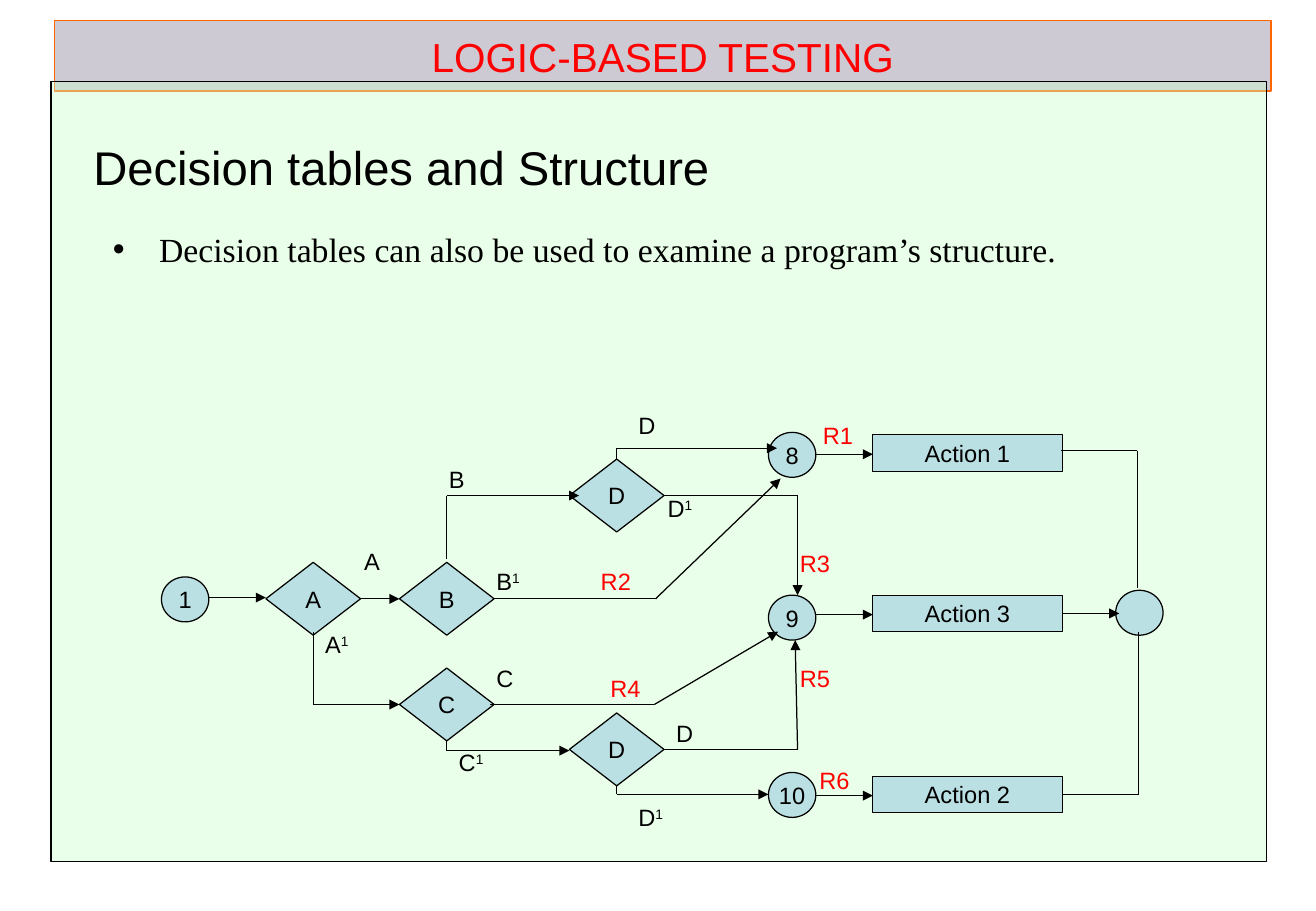
import dataclasses

import lxml.etree
import pptx
import pptx.dml.color
import pptx.enum.shapes
import pptx.enum.text
import pptx.oxml.ns
import pptx.util

Inches = pptx.util.Inches
Pt = pptx.util.Pt
qn = pptx.oxml.ns.qn
SHAPE = pptx.enum.shapes.MSO_SHAPE
ALIGN = pptx.enum.text.PP_ALIGN
ANCHOR = pptx.enum.text.MSO_ANCHOR


@dataclasses.dataclass(frozen=True)
class Theme:
    ink: str = "000000"
    accent: str = "FF0000"
    banner: str = "CECAD4"
    banner_line: str = "FF6600"
    panel: str = "CCFFCC"
    node: str = "BBE0E3"
    sans: str = "Arial"
    serif: str = "Times New Roman"
    title: int = 24
    heading: int = 28
    body: int = 20
    label: int = 14
    line: float = 0.75


def rgb(value):
    return pptx.dml.color.RGBColor.from_string(value)


def add_xml(parent, tag, **attrs):
    return lxml.etree.SubElement(parent, qn(tag), attrs)


def write(tf, text, *, size, color, font, align=ALIGN.LEFT,
          anchor=ANCHOR.TOP, wrap=True, bullet=False):
    """Write one paragraph; a part after ^ is raised."""
    tf.word_wrap = wrap
    tf.auto_size = pptx.enum.text.MSO_AUTO_SIZE.NONE
    tf.vertical_anchor = anchor
    p = tf.paragraphs[0]
    if bullet:
        pPr = p._p.get_or_add_pPr()
        pPr.set("marL", str(Inches(0.38)))
        pPr.set("indent", str(Inches(-0.38)))
        add_xml(add_xml(pPr, "a:buClr"), "a:srgbClr", val=color)
        add_xml(pPr, "a:buChar", char="•")
    p.alignment = align
    p.space_before = Pt(0)
    base, _, raised = text.partition("^")
    for part in filter(None, (base, raised)):
        r = p.add_run()
        r.text = part
        r.font.size = Pt(size)
        r.font.name = font
        r.font.color.rgb = rgb(color)
    if raised:
        r._r.get_or_add_rPr().set("baseline", "30000")


class Deck:
    def __init__(self, theme, width, height):
        self.theme = theme
        self.prs = pptx.Presentation()
        self.prs.slide_width = Inches(width)
        self.prs.slide_height = Inches(height)
        self.s = self.prs.slides.add_slide(self.prs.slide_layouts[1])

    def place(self, sp, x, y, w, h):
        sp.left, sp.top, sp.width, sp.height = map(Inches, (x, y, w, h))

    def paint(self, sp, fill, line):
        sp.fill.solid()
        sp.fill.fore_color.rgb = rgb(fill)
        sp.line.color.rgb = rgb(line)
        sp.line.width = Pt(self.theme.line)

    def title(self, text, *box):
        t, sp = self.theme, self.s.shapes.title
        self.place(sp, *box)
        self.paint(sp, t.banner, t.banner_line)
        write(sp.text_frame, text, size=t.title, color=t.accent, font=t.sans,
              align=ALIGN.CENTER, anchor=ANCHOR.MIDDLE)

    def body(self, text, *box):
        t, sp = self.theme, self.s.placeholders[1]
        self.place(sp, *box)
        write(sp.text_frame, text, size=t.body, color=t.ink, font=t.serif,
              align=ALIGN.JUSTIFY, bullet=True)

    def shape(self, kind, x, y, w, h, fill, text=""):
        t = self.theme
        sp = self.s.shapes.add_shape(kind, *map(Inches, (x, y, w, h)))
        sp.shadow.inherit = False
        self.paint(sp, fill, t.ink)
        if text:
            write(sp.text_frame, text, size=t.label, color=t.ink, font=t.sans,
                  align=ALIGN.CENTER, anchor=ANCHOR.MIDDLE, wrap=False)
        return sp

    def panel(self, *box):
        sp = self.shape(SHAPE.RECTANGLE, *box, self.theme.panel)
        tint = next(sp._element.spPr.iter(qn("a:srgbClr")))
        add_xml(tint, "a:alpha", val="40000")
        # The panel lies over the title and under the body text
        self.s.placeholders[1]._element.addprevious(sp._element)

    def text(self, text, x, y, w, h, size, color, anchor=ANCHOR.TOP):
        sp = self.s.shapes.add_textbox(*map(Inches, (x, y, w, h)))
        write(sp.text_frame, text, size=size, color=color,
              font=self.theme.sans, anchor=anchor)

    def route(self, points, arrow=True):
        """Join the points with straight lines; the last may end in an arrow."""
        for start, end in zip(points, points[1:]):
            c = self.s.shapes.add_connector(
                pptx.enum.shapes.MSO_CONNECTOR.STRAIGHT,
                *map(Inches, (*start, *end)))
            c.line.color.rgb = rgb(self.theme.ink)
            c.line.width = Pt(self.theme.line)
            add_xml(c._element.spPr, "a:effectLst")
        if arrow:
            ln = c._element.spPr.find(qn("a:ln"))
            add_xml(ln, "a:tailEnd", type="triangle")


# Node kinds: preset shape, width, height
CIRCLE = (SHAPE.OVAL, 0.39, 0.37)
DECISION = (SHAPE.DIAMOND, 0.78, 0.6)
ACTION = (SHAPE.RECTANGLE, 1.56, 0.3)

NODES = [
    (CIRCLE, "1", 1.33, 4.75), (CIRCLE, "8", 6.33, 3.56),
    (CIRCLE, "9", 6.33, 4.9), (CIRCLE, "10", 6.33, 6.36),
    (CIRCLE, "", 9.19, 4.86),
    (ACTION, "Action 1", 7.19, 3.58), (ACTION, "Action 3", 7.19, 4.9),
    (ACTION, "Action 2", 7.19, 6.39),
    (DECISION, "A", 2.19, 4.63), (DECISION, "B", 3.29, 4.63),
    (DECISION, "D", 4.69, 5.87), (DECISION, "D", 4.69, 3.78),
    (DECISION, "C", 3.29, 5.5),
]

ARROWS = [
    # Into and between the first decisions
    [(1.72, 4.92), (2.19, 4.92)],
    [(2.97, 4.93), (3.29, 4.93)],
    [(2.58, 5.2), (2.58, 5.8), (3.29, 5.8)],
    # Out of B and C
    [(3.68, 4.6), (3.68, 4.08), (4.77, 4.08)],
    [(4.07, 4.93), (5.4, 4.93), (6.43, 3.94)],
    [(4.04, 5.8), (5.39, 5.8), (6.41, 5.2)],
    [(3.68, 6.1), (3.68, 6.18), (4.69, 6.18)],
    # Out of the two D decisions
    [(5.08, 3.78), (5.08, 3.69), (6.4, 3.69)],
    [(5.47, 4.08), (6.57, 4.08), (6.57, 4.9)],
    [(5.47, 6.17), (6.57, 6.17), (6.55, 5.27)],
    [(5.08, 6.46), (5.08, 6.54), (6.33, 6.54)],
    # Into the actions and the end node
    [(6.72, 3.74), (7.19, 3.74)],
    [(6.72, 5.06), (7.19, 5.06)],
    [(6.72, 6.55), (7.19, 6.55)],
    [(8.75, 5.05), (9.22, 5.05)],
]

PLAIN_LINES = [
    [(8.74, 3.71), (9.37, 3.71), (9.37, 4.84)],
    [(8.75, 6.54), (9.38, 6.54), (9.38, 5.2)],
]

BRANCHES = [
    ("A", 2.9, 4.45), ("A^1", 2.58, 5.14), ("B", 3.6, 3.78),
    ("B^1", 3.99, 4.62), ("D", 5.16, 3.33), ("D^1", 5.4, 4.02),
    ("C", 3.99, 5.42), ("C^1", 3.68, 6.11), ("D", 5.47, 5.87),
    ("D^1", 5.16, 6.56),
]

RULES = [
    ("R1", 6.68, 3.42), ("R2", 4.85, 4.62), ("R3", 6.49, 4.47),
    ("R4", 4.93, 5.5), ("R5", 6.49, 5.42), ("R6", 6.65, 6.26),
]


def main():
    t = Theme()
    deck = Deck(t, 10.84, 7.5)

    # Banner, panel and text
    deck.title("LOGIC-BASED TESTING", 0.45, 0.17, 10.02, 0.58)
    deck.panel(0.42, 0.67, 10.01, 6.42)
    deck.body("Decision tables can also be used to examine a program’s "
              "structure.", 0.83, 1.83, 8.92, 4.92)
    deck.text("Decision tables and Structure", 0.67, 1.08, 9.11, 0.58,
              t.heading, t.ink, ANCHOR.MIDDLE)

    # Flowchart
    for (kind, w, h), name, x, y in NODES:
        deck.shape(kind, x, y, w, h, t.node, name)
    for points in ARROWS:
        deck.route(points)
    for points in PLAIN_LINES:
        deck.route(points, arrow=False)

    # Branch and rule labels
    for labels, color in ((BRANCHES, t.ink), (RULES, t.accent)):
        for name, x, y in labels:
            w = 0.31 if len(name) == 1 else 0.62
            deck.text(name, x, y, w, 0.34, t.label, color)

    deck.prs.save("out.pptx")


if __name__ == "__main__":
    main()
